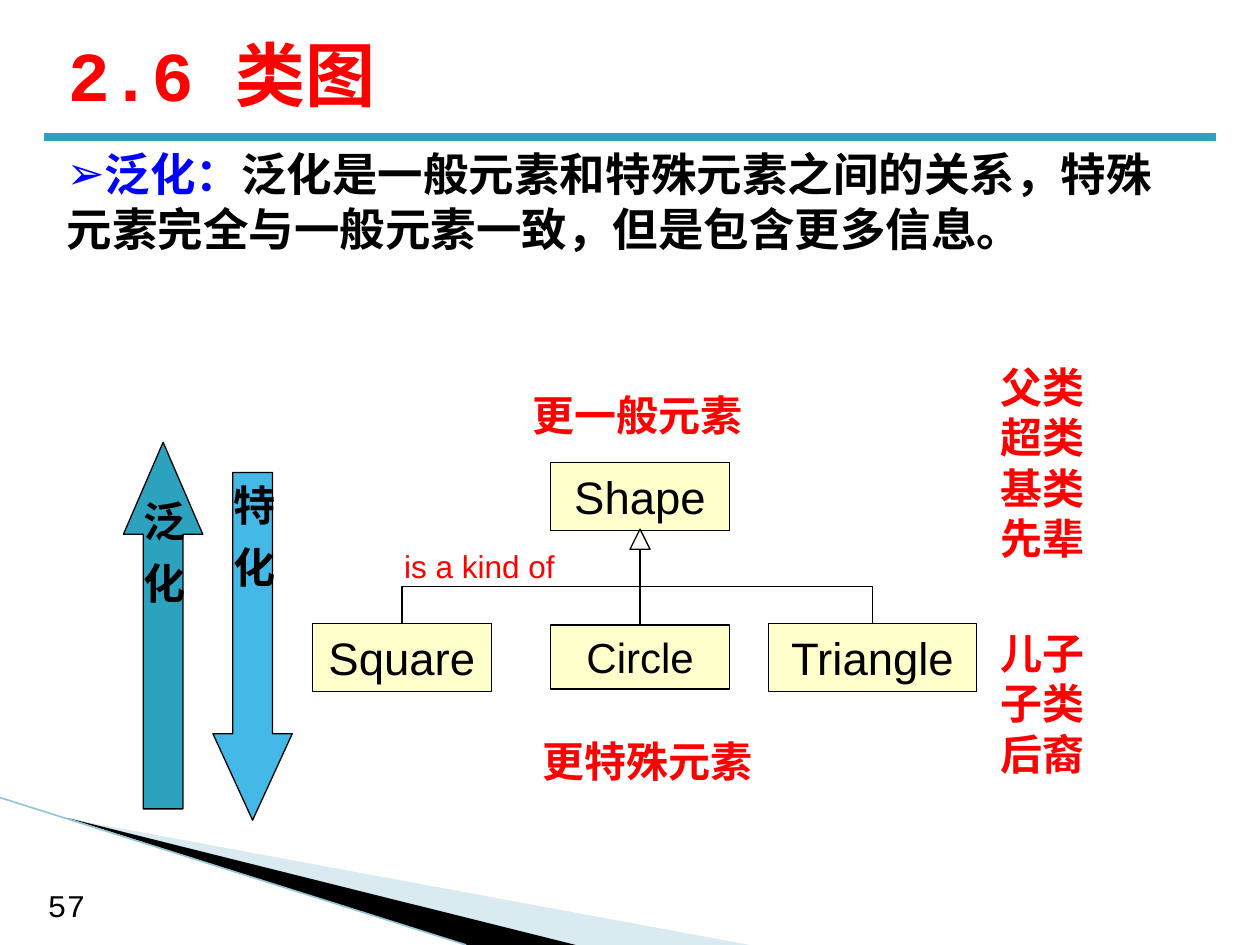
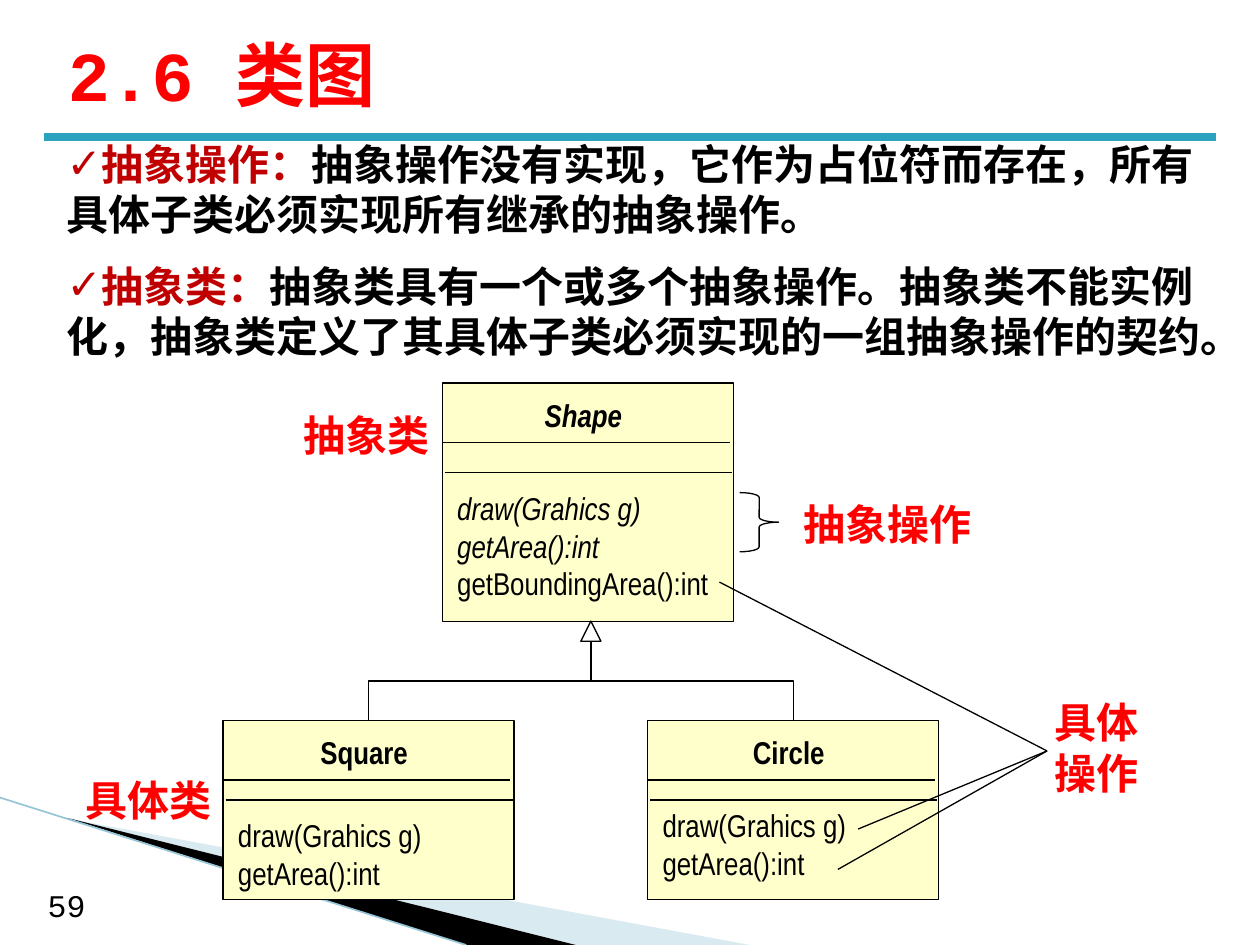
from lxml import etree
from pptx import Presentation
from pptx import util as u
from pptx.dml import color
from pptx.enum import shapes, text
from pptx.oxml import ns

RED, BLACK, TEAL, CREAM = "FF0000", "000000", "2DA2BF", "FFFFCC"
SANS, SLIM, MONO = "Arial", "Arial Narrow", "Courier New"
KIND = shapes.MSO_SHAPE
LEFT, MID = text.PP_ALIGN.LEFT, text.PP_ALIGN.CENTER

TITLE = "2.6 类图"
WEDGES = [
    ("A0CBDC", 40, [(0.55, 6.5), (5.95, 7.5), (4.56, 7.5)]),
    (BLACK, 100, [(0.53, 6.49), (4.57, 7.5), (3.7, 7.5)]),
]
RULES = [((0, 6.33), (3.7, 7.5), "97C5D8", 0.95),
         ((0.35, 1.09), (9.65, 1.09), TEAL, 4.5)]

KINDS = {
    "page": "57",
    "body": ((0.43, 1.11, 9.06, 0.98), "➢", "0000FF", 26, [
        ("泛化：", "泛化是一般元素和特殊元素之间的关系，特殊元素完全与一般元素一致，但是包含更多信息。")]),
    "boxes": [("Shape", (4.37, 3.67, 1.42, 0.54), 26),
              ("Square", (2.48, 4.95, 1.42, 0.54), 26),
              ("Circle", (4.37, 4.96, 1.42, 0.51), 24),
              ("Triangle", (6.1, 4.95, 1.65, 0.54), 26)],
    "tip": (5.08, 4.2),
    "arrows": [("特化", KIND.DOWN_ARROW, (1.69, 3.75, 0.63, 2.76), 1.09, "44B9E8"),
               ("泛化", KIND.UP_ARROW, (0.98, 3.51, 0.63, 2.91), 1.16, TEAL)],
    "labels": [(["父类", "超类", "基类", "先辈"], (7.84, 2.82, 1.5, 1.72), LEFT),
               (["儿子", "子类", "后裔"], (7.84, 4.93, 1.5, 1.31), LEFT),
               (["更一般元素"], (4.13, 3.04, 2.2, 0.51), LEFT),
               (["更特殊元素"], (4.21, 5.79, 1.89, 0.51), LEFT)],
    "link": ("is a kind of", (3.11, 4.29, 1.5, 0.4)),
}

DRAW, AREA, BOUND = "draw(Grahics g)", "getArea():int", "getBoundingArea():int"
ABSTRACT = {
    "page": "59",
    "body": ((0.43, 1.05, 9.21, 1.92), "✓", "C00000", 24, [
        ("抽象操作：", "抽象操作没有实现，它作为占位符而存在，所有具体子类必须实现所有继承的抽象操作。"),
        ("抽象类：", "抽象类具有一个或多个抽象操作。抽象类不能实例化，抽象类定义了其具体子类必须实现的一组抽象操作的契约。")]),
    "classes": [
        ("Shape", (3.51, 3.04, 2.31, 1.89), (3.51, 3.75), 3.83,
         [(DRAW, True), (AREA, True), (BOUND, False)]),
        ("Square", (1.77, 5.72, 2.31, 1.42), (6.19, 6.35), 6.43,
         [(DRAW, False), (AREA, False)]),
        ("Circle", (5.14, 5.72, 2.31, 1.42), (6.19, 6.35), 6.35,
         [(DRAW, False), (AREA, False)])],
    "tip": (4.69, 4.93),
    "labels": [(["抽象操作"], (6.18, 3.91, 1.73, 0.51), MID),
               (["具体操作"], (8.15, 5.48, 1.1, 0.91), MID),
               (["抽象类"], (2.16, 3.2, 1.5, 0.51), MID),
               (["具体类"], (0.43, 6.1, 1.5, 0.51), MID)],
    "brace": (5.87, 3.91, 0.31, 0.47),
    "hub": (8.31, 5.96),
    "rays": [(5.71, 4.62), (6.81, 6.58), (6.65, 6.9)],
}


def rgb(code):
    return color.RGBColor.from_string(code)


def inch(vals):
    return [u.Inches(v) for v in vals]


def style(run, size, face, tint=BLACK, bold=False, slant=False):
    form = {"size": u.Pt(size), "name": face, "bold": bold, "italic": slant}
    for key, val in form.items():
        setattr(run.font, key, val)
    run.font.color.rgb = rgb(tint)


def write(shape, paras, align=LEFT, anchor=text.MSO_ANCHOR.TOP, gap=0, mark=None):
    frame = shape.text_frame
    frame.word_wrap = True
    frame.vertical_anchor = anchor
    for i, runs in enumerate(paras):
        para = frame.add_paragraph() if i else frame.paragraphs[0]
        para.alignment = align
        if i and gap:
            para.space_before = u.Pt(gap)
        if mark:
            props = para._p.get_or_add_pPr()
            props.set("marL", "0")
            props.set("indent", "0")
            etree.SubElement(props, ns.qn("a:buFont")).set("typeface", SANS)
            etree.SubElement(props, ns.qn("a:buChar")).set("char", mark)
        for words, *form in runs:
            run = para.add_run()
            run.text = words
            style(run, *form)


def note(slide, at, paras, **opts):
    box = slide.shapes.add_textbox(*inch(at))
    write(box, paras, **opts)
    return box


def paint(shape, fill=None, line=BLACK):
    shape.shadow.inherit = False
    if fill:
        shape.fill.solid()
        shape.fill.fore_color.rgb = rgb(fill)
    else:
        shape.fill.background()
    if line:
        shape.line.color.rgb = rgb(line)
        shape.line.width = u.Pt(0.75)
    else:
        shape.line.fill.background()


def solid(slide, kind, at, fill=None):
    shape = slide.shapes.add_shape(kind, *inch(at))
    paint(shape, fill)
    return shape


def wire(slide, start, end, tint=BLACK, width=0.75, kind=shapes.MSO_CONNECTOR.STRAIGHT):
    line = slide.shapes.add_connector(kind, *inch(start + end))
    line.line.color.rgb = rgb(tint)
    line.line.width = u.Pt(width)
    etree.SubElement(line._element.spPr, ns.qn("a:effectLst"))
    return line


def elbow(slide, start, end):
    (x, y), (ex, ey) = start, end
    cx, cy = (x + ex) / 2, (y + ey) / 2
    half, drop = abs(ex - x) / 2, (ey - y) / 2
    line = wire(slide, (cx - drop, cy - half), (cx + drop, cy + half),
                kind=shapes.MSO_CONNECTOR.ELBOW)
    frame = line._element.spPr.find(ns.qn("a:xfrm"))
    frame.set("rot", str((90 if ex < x else 270) * 60000))
    if ex > x:
        frame.set("flipH", "1")


def top(at):
    return at[0] + at[2] / 2, at[1]


def tree(slide, tip, kids):
    x, y = tip
    solid(slide, KIND.ISOSCELES_TRIANGLE, (x - 0.08, y, 0.16, 0.16), "FFFFFF")
    for at in kids:
        elbow(slide, (x, y + 0.16), top(at))


def labels(slide, items):
    for rows, at, align in items:
        note(slide, at, [[(row, 24, SANS, RED, True)] for row in rows], align=align)


def base(deck, data):
    slide = deck.slides.add_slide(deck.slide_layouts[6])
    for tint, alpha, pts in WEDGES:
        pts = [inch(p) for p in pts]
        path = slide.shapes.build_freeform(*pts[0])
        path.add_line_segments(pts[1:], close=True)
        wedge = path.convert_to_shape()
        paint(wedge, tint, None)
        if alpha < 100:
            code = wedge._element.spPr.find(".//" + ns.qn("a:srgbClr"))
            etree.SubElement(code, ns.qn("a:alpha")).set("val", str(alpha * 1000))
    for rule in RULES:
        wire(slide, *rule)
    note(slide, (0.28, 6.98, 0.79, 0.4), [[(data["page"], 18, MONO)]])
    note(slide, (0.44, 0.16, 9, 0.85), [[(TITLE, 40, MONO, RED, True)]],
         anchor=text.MSO_ANCHOR.MIDDLE)
    at, mark, tint, size, items = data["body"]
    note(slide, at, [[(term, size, MONO, tint, True), (rest, size, MONO, BLACK, True)]
                     for term, rest in items], gap=12, mark=mark)
    labels(slide, data["labels"])
    return slide


def kinds(deck, data):
    slide = base(deck, data)
    made = {}
    for name, at, size in data["boxes"]:
        made[name] = solid(slide, KIND.RECTANGLE, at, CREAM)
        write(made[name], [[(name, size, SANS)]], MID, text.MSO_ANCHOR.MIDDLE)
    spots = {name: at for name, at, size in data["boxes"]}
    x, y = data["tip"]
    tree(slide, data["tip"], [spots["Square"], spots["Triangle"]])
    stem = wire(slide, (x, y + 0.16), top(spots["Circle"]))
    stem.end_connect(made["Circle"], 0)
    words, at = data["link"]
    note(slide, at, [[(words, 18, SANS, RED)]])
    for words, kind, at, head, fill in data["arrows"]:
        arrow = solid(slide, kind, at, fill)
        arrow.adjustments[0], arrow.adjustments[1] = 0.5, head
        write(arrow, [[(c, 24, SANS, BLACK, True) for c in words]],
              MID, text.MSO_ANCHOR.MIDDLE)
        frame = arrow.text_frame
        frame.word_wrap = False
        frame._txBody.bodyPr.set("vert", "eaVert")
        frame.paragraphs[0].runs[0].font._element.set("spc", "1150")


def abstract(deck, data):
    slide = base(deck, data)
    for name, at, rules, low, ops in data["classes"]:
        x, y, wide, high = at
        solid(slide, KIND.RECTANGLE, at, CREAM)
        note(slide, (x + 0.41, y + 0.05, 1.42, 0.4),
             [[(name, 18, SLIM, BLACK, True, name == "Shape")]], align=MID)
        note(slide, (x + 0.02, low, 2.28, 0.3 * len(ops) + 0.1),
             [[(op, 18, SLIM, BLACK, False, slant)] for op, slant in ops])
        for left, rule in zip((x, x + 0.02), rules):
            wire(slide, (left, rule), (left + 2.28, rule))
    tree(slide, data["tip"], [item[1] for item in data["classes"][1:]])
    brace = solid(slide, KIND.RIGHT_BRACE, data["brace"])
    brace.adjustments[0], brace.adjustments[1] = 0.125, 0.5
    for start in data["rays"]:
        wire(slide, start, data["hub"])


def main():
    deck = Presentation()
    deck.slide_width, deck.slide_height = inch((10, 7.5))
    kinds(deck, KINDS)
    abstract(deck, ABSTRACT)
    deck.save("out.pptx")


if __name__ == "__main__":
    main()
